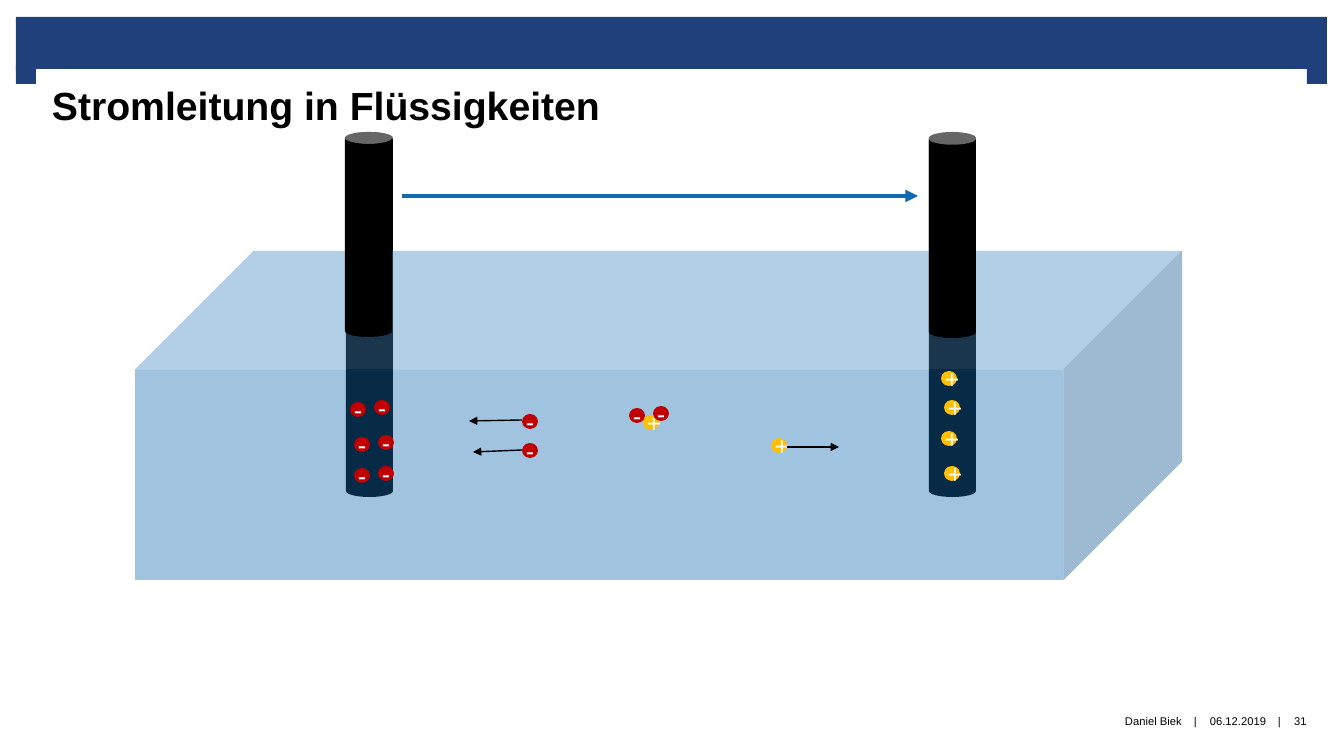
from lxml import etree
from pptx import Presentation
from pptx.dml.color import RGBColor
from pptx.enum.shapes import MSO_CONNECTOR, MSO_SHAPE
from pptx.enum.text import MSO_ANCHOR, PP_ALIGN
from pptx.oxml.ns import qn
from pptx.util import Pt

EMU_PER_PX = 914400 / 100.8
THEME = {
    "font": "Arial", "title_size": 28, "footer_size": 8, "ion_size": 18,
    "text": "000000", "banner": "1F407A", "electrode": "000000",
    "water": "1269B0", "anion": "C00000", "cation": "FFC000", "sign": "FFFFFF",
}

# Content: boxes are (left, top, width, height) in px
TITLE = ("Stromleitung in Flüssigkeiten", (36, 69, 1272, 60))
BANNER = [(16, 17, 1311, 52), (16, 66, 20, 18), (1307, 66, 20, 18)]
FOOTER = [
    ("|", (1272, 695, 15, 51), PP_ALIGN.CENTER),
    ("|", (1188, 695, 15, 51), PP_ALIGN.CENTER),
    ("06.12.2019", (1204, 696, 68, 51), PP_ALIGN.CENTER),
    ("Daniel Biek", (671, 696, 511, 50), PP_ALIGN.RIGHT),
    ("31", (1281, 696, 39, 51), PP_ALIGN.CENTER),
]
ELECTRODES = [(346, 132, 47, 365), (929, 132, 47, 365)]
ELECTRODE_TOPS = [(929, 133, 47, 205), (345, 132, 47, 205)]
BASIN = (135, 251, 1047, 329)
BASIN_DEPTH, BASIN_OPACITY = 0.36, 40

ION_SIZE = (16, 15)
ANION_PAIR_STEP = (24, -2)
ANION_PAIRS = [(629, 408), (354, 468), (354, 437), (350, 402)]
MOVING_ANIONS = [(522, 414), (522, 443)]
CATIONS = [(643, 415), (944, 466), (941, 431), (944, 400), (941, 371), (771, 438)]

# Arrows: start, end, colour, width in points
ARROWS = [
    ((787, 447), (839, 447), "text", 1),
    ((522, 420), (469, 421), "text", 1),
    ((522, 450), (473, 452), "text", 1),
    ((402, 196), (918, 196), "water", 3),
]


def px(*lengths):
    return [round(length * EMU_PER_PX) for length in lengths]


def apply(target, values):
    for name, value in values.items():
        setattr(target, name, value)


def write(shape, text, size, color, alignment, bold=False, insets=None, **frame_values):
    frame = shape.text_frame
    apply(frame, frame_values)
    if insets:
        sides = ("margin_left", "margin_top", "margin_right", "margin_bottom")
        apply(frame, dict(zip(sides, px(*insets))))
    paragraph = frame.paragraphs[0]
    paragraph.alignment = alignment
    run = paragraph.add_run()
    run.text = text
    apply(run.font, {"name": THEME["font"], "size": Pt(THEME[size]), "bold": bold})
    run.font.color.rgb = RGBColor.from_string(THEME[color])


def add_solid(slide, kind, box, color):
    shape = slide.shapes.add_shape(kind, *px(*box))
    shape.shadow.inherit = False
    shape.fill.solid()
    shape.fill.fore_color.rgb = RGBColor.from_string(THEME[color])
    shape.line.fill.background()
    return shape


def add_ion(slide, position, sign, color):
    ion = add_solid(slide, MSO_SHAPE.OVAL, (*position, *ION_SIZE), color)
    write(ion, sign, "ion_size", "sign", PP_ALIGN.CENTER,
          word_wrap=True, vertical_anchor=MSO_ANCHOR.MIDDLE)


def add_arrow(slide, start, end, color, width):
    arrow = slide.shapes.add_connector(MSO_CONNECTOR.STRAIGHT, *px(*start, *end))
    arrow.line.color.rgb = RGBColor.from_string(THEME[color])
    arrow.line.width = Pt(width)
    etree.SubElement(arrow.line._get_or_add_ln(), qn("a:tailEnd"), type="triangle")
    etree.SubElement(arrow._element.spPr, qn("a:effectLst"))


def main():
    presentation = Presentation()
    apply(presentation, dict(zip(("slide_width", "slide_height"), px(1344, 756))))
    slide = presentation.slides.add_slide(presentation.slide_layouts[6])

    # Banner, title and footer
    for box in BANNER:
        add_solid(slide, MSO_SHAPE.RECTANGLE, box, "banner")
    title, title_box = TITLE
    write(slide.shapes.add_textbox(*px(*title_box)), title, "title_size", "text",
          PP_ALIGN.LEFT, bold=True, insets=(16, 12, 16, 0), word_wrap=True)
    for text, box, alignment in FOOTER:
        insets = (4, 5, 4, 5) if text == "|" else (0, 0, 0, 0)
        write(slide.shapes.add_textbox(*px(*box)), text, "footer_size", "text", alignment,
              insets=insets, word_wrap=False, vertical_anchor=MSO_ANCHOR.MIDDLE)

    # Electrodes inside the translucent basin
    for box in ELECTRODES:
        add_solid(slide, MSO_SHAPE.CAN, box, "electrode")
    basin = add_solid(slide, MSO_SHAPE.CUBE, BASIN, "water")
    basin.adjustments[0] = BASIN_DEPTH
    basin_color = basin._element.spPr.find(qn("a:solidFill"))[0]
    etree.SubElement(basin_color, qn("a:alpha"), val=str(BASIN_OPACITY * 1000))

    # Ions: cations first, so that the anions of the molecule overlap them
    for position in CATIONS:
        add_ion(slide, position, "+", "cation")
    step_x, step_y = ANION_PAIR_STEP
    for left, top in ANION_PAIRS:
        for index in range(2):
            add_ion(slide, (left + index * step_x, top + index * step_y), "-", "anion")
    for position in MOVING_ANIONS:
        add_ion(slide, position, "-", "anion")

    # Directions of motion and the dry electrode parts
    for arrow in ARROWS:
        add_arrow(slide, *arrow)
    for box in ELECTRODE_TOPS:
        add_solid(slide, MSO_SHAPE.CAN, box, "electrode")

    presentation.save("out.pptx")


if __name__ == "__main__":
    main()
